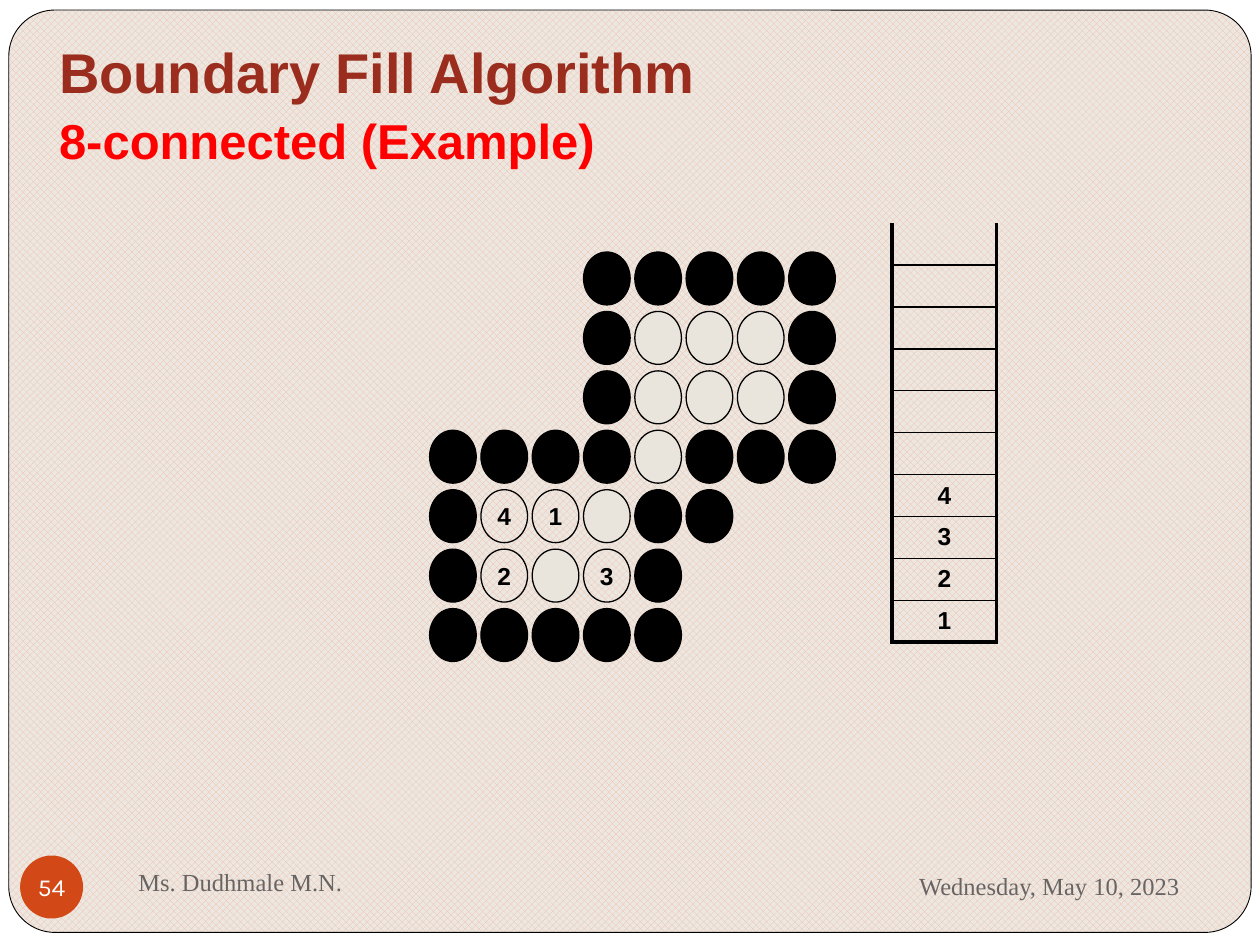
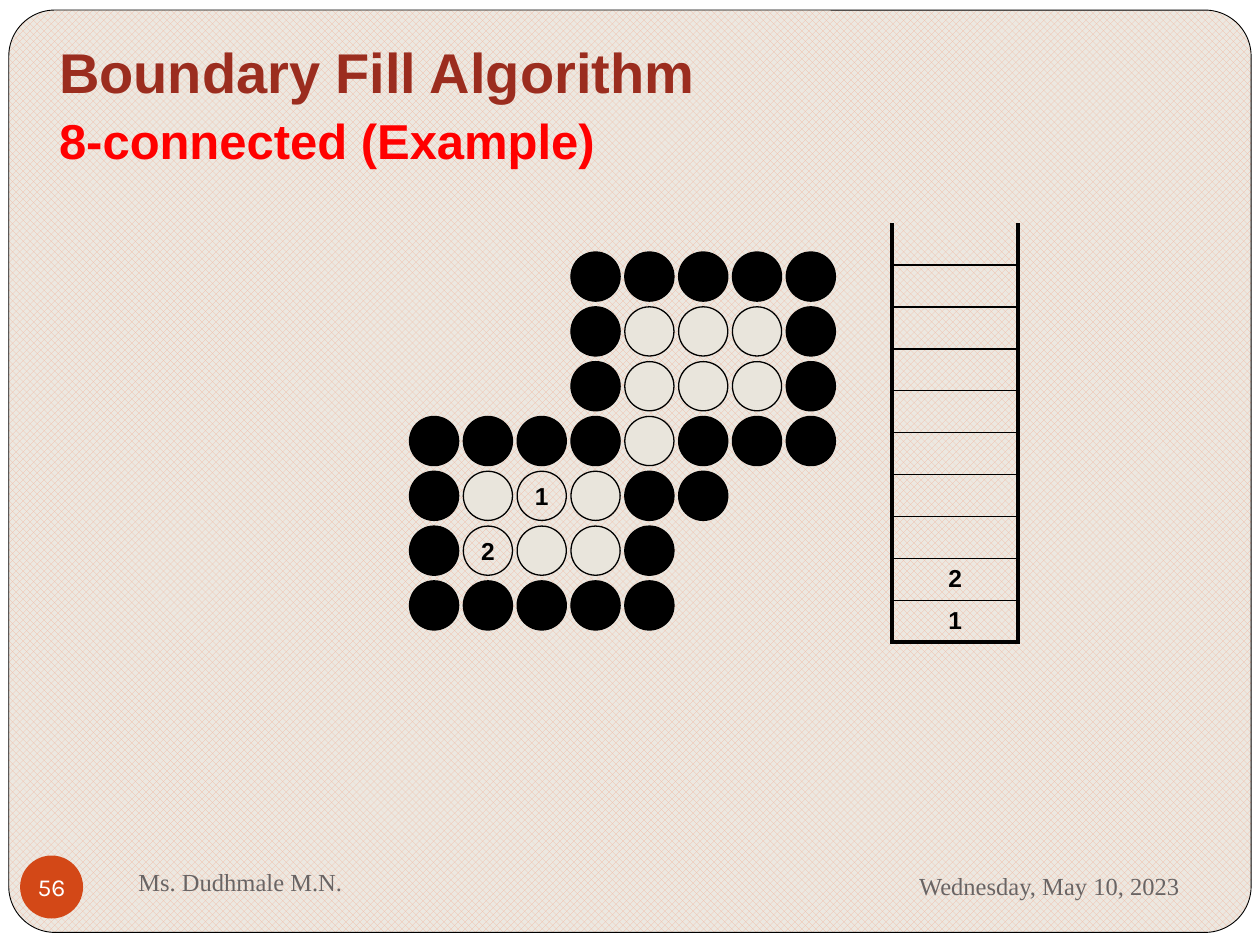
from dataclasses import dataclass
from typing import NamedTuple, Optional

from lxml import etree
from pptx import Presentation
from pptx.dml.color import RGBColor as Rgb
from pptx.enum.dml import MSO_PATTERN as Pat
from pptx.enum.shapes import MSO_SHAPE as Kind
from pptx.enum.text import MSO_ANCHOR as Anchor, PP_ALIGN as Align
from pptx.oxml.ns import qn
from pptx.util import Inches, Pt


@dataclass(frozen=True)
class Theme:
    black: str = "000000"
    white: str = "FFFFFF"
    paper: str = "ECE8E1"
    weave: str = "F2BBA4"
    empty: str = "E9E5DC"
    badge: str = "D34817"
    title: str = "9B2D1F"
    accent: str = "FF0000"
    muted: str = "696464"
    sans: str = "Arial"
    serif: str = "Times New Roman"
    round: str = "Karla"
    big: int = 32
    mid: int = 28
    small: int = 14


THEME = Theme()


class Box(NamedTuple):
    left: float
    top: float
    width: float
    height: float

    def emu(self) -> list:
        return [Inches(side) for side in self]


class Run(NamedTuple):
    text: str
    size: int
    font: str
    color: str
    bold: bool = False


class Grid(NamedTuple):
    """Area spanned by the pixels, the size of one, and the pixel map."""
    area: Box
    wide: float
    high: float
    rows: list


class Page(NamedTuple):
    number: str
    grid: Grid
    stack: Box
    items: list


# Pixel maps: # is boundary, o is empty, a digit is a stacked pixel
UPPER = ["   #####", "   #ooo#", "   #ooo#", "####o###"]
LOWER = "#####"
SLOTS = 10

PAGES = [
    Page("54", Grid(Box(3.41, 2, 3.22, 3.25), 0.37, 0.42,
                    UPPER + ["#41o##", "#2o3#", LOWER]),
         Box(7.08, 1.77, 0.83, 3.33), ["4", "3", "2", "1"]),
    Page("56", Grid(Box(3.25, 2, 3.38, 3), 0.39, 0.39,
                    UPPER + ["#o1o##", "#2oo#", LOWER]),
         Box(7.08, 1.77, 1, 3.33), ["2", "1"]),
]


def rgb(code: str) -> Rgb:
    return Rgb.from_string(code)


def write(para, run: Run) -> None:
    part = para.add_run()
    part.text = run.text
    font = part.font
    font.size, font.name, font.bold = Pt(run.size), run.font, run.bold
    font.color.rgb = rgb(run.color)


def label(text: str) -> Run:
    return Run(text, THEME.small, THEME.sans, THEME.black, True)


def shape(shapes, kind: Kind, box: Box, fill: Optional[str], line: float = 0):
    item = shapes.add_shape(kind, *box.emu())
    item.shadow.inherit = False
    if fill:
        item.fill.solid()
        item.fill.fore_color.rgb = rgb(fill)
    else:
        item.fill.background()
    if line:
        item.line.color.rgb = rgb(THEME.black)
        item.line.width = Pt(line)
    else:
        item.line.fill.background()
    return item


def center(item, run: Run) -> None:
    frame = item.text_frame
    frame.word_wrap = False
    frame.vertical_anchor = Anchor.MIDDLE
    frame.paragraphs[0].alignment = Align.CENTER
    write(frame.paragraphs[0], run)


def text(slide, box: Box, runs: list, align=Align.LEFT, anchor=Anchor.MIDDLE,
         gap: float = 0) -> None:
    """Write one paragraph for each run."""
    frame = slide.shapes.add_textbox(*box.emu()).text_frame
    frame.word_wrap = True
    frame.vertical_anchor = anchor
    for num, run in enumerate(runs):
        para = frame.add_paragraph() if num else frame.paragraphs[0]
        para.alignment = align
        if num:
            para.space_before = Pt(gap)
        write(para, run)


def frame(slide, number: str) -> None:
    # Textured panel
    back = slide.background.fill
    back.solid()
    back.fore_color.rgb = rgb(THEME.white)
    panel = shape(slide.shapes, Kind.ROUNDED_RECTANGLE,
                  Box(0.07, 0.08, 9.86, 7.32), THEME.paper, 0.5)
    panel.adjustments[0] = 0.05
    panel.fill.patterned()
    panel.fill.pattern = Pat.OUTLINED_DIAMOND
    panel.fill.fore_color.rgb = rgb(THEME.weave)
    panel.fill.back_color.rgb = rgb(THEME.paper)

    # Title
    text(slide, Box(0.37, 0.25, 9.25, 1.17), [
        Run("Boundary Fill Algorithm", THEME.big, THEME.sans, THEME.title, True),
        Run("8-connected (Example)", THEME.mid, THEME.sans, THEME.accent, True),
    ], anchor=Anchor.TOP, gap=3.5)

    # Footer and page badge
    for words, box, align in (
            ("Ms. Dudhmale M.N.", Box(1, 6.75, 4.33, 0.5), Align.LEFT),
            ("Wednesday, May 10, 2023", Box(6.75, 6.77, 2.71, 0.52), Align.RIGHT)):
        text(slide, box, [Run(words, THEME.small, THEME.serif, THEME.muted)], align)
    badge = shape(slide.shapes, Kind.OVAL, Box(0.16, 6.79, 0.5, 0.5), THEME.badge)
    inner = badge.text_frame
    inner.margin_left = inner.margin_right = 0
    inner.margin_top = inner.margin_bottom = 0
    center(badge, Run(number, THEME.small, THEME.round, THEME.white))


def pixels(slide, grid: Grid) -> None:
    area = grid.area
    step = (area.width - grid.wide) / (len(grid.rows[0]) - 1)
    drop = (area.height - grid.high) / (len(grid.rows) - 1)
    group = slide.shapes.add_group_shape()
    fills = {"#": THEME.black, "o": THEME.empty}
    for row, marks in enumerate(grid.rows):
        for col, mark in enumerate(marks):
            if mark == " ":
                continue
            box = Box(area.left + col * step, area.top + row * drop,
                      grid.wide, grid.high)
            dot = shape(group.shapes, Kind.OVAL, box, fills.get(mark), 0.75)
            if mark.isdigit():
                center(dot, label(mark))


def border(cell, side: str, width: float) -> None:
    props = cell._tc.get_or_add_tcPr()
    line = etree.SubElement(props, qn(f"a:ln{side}"), w=str(Pt(width)))
    if width:
        fill = etree.SubElement(line, qn("a:solidFill"))
        etree.SubElement(fill, qn("a:srgbClr"), val=THEME.black)
    else:
        etree.SubElement(line, qn("a:noFill"))


def stack(slide, box: Box, items: list) -> None:
    table = slide.shapes.add_table(SLOTS, 1, *box.emu()).table
    table.first_row = table.horz_banding = False
    slots = [""] * (SLOTS - len(items)) + items
    for row, item in enumerate(slots):
        table.rows[row].height = Inches(box.height / SLOTS)
        cell = table.cell(row, 0)
        cell.margin_top = cell.margin_bottom = 0
        cell.vertical_anchor = Anchor.MIDDLE
        # The stack is open at the top and closed at the bottom
        border(cell, "L", 2.25)
        border(cell, "R", 2.25)
        border(cell, "T", 1 if row else 0)
        border(cell, "B", 1 if row < SLOTS - 1 else 2.25)
        cell.fill.background()
        if item:
            para = cell.text_frame.paragraphs[0]
            para.alignment = Align.CENTER
            write(para, label(item))


def main() -> None:
    deck = Presentation()
    deck.slide_width, deck.slide_height = Inches(10), Inches(7.5)
    for page in PAGES:
        slide = deck.slides.add_slide(deck.slide_layouts[6])
        frame(slide, page.number)
        pixels(slide, page.grid)
        stack(slide, page.stack, page.items)
    deck.save("out.pptx")


if __name__ == "__main__":
    main()
